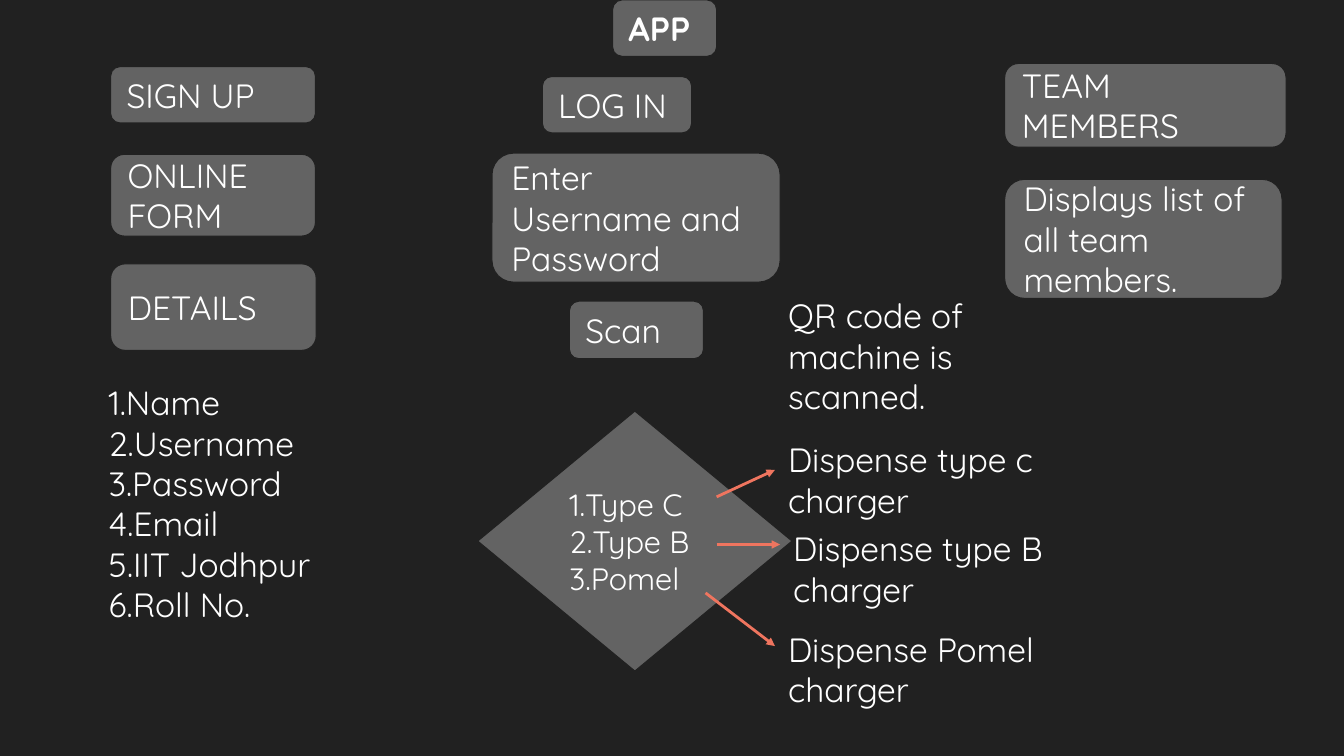
import pptx
import pptx.util
import pptx.dml.color
import pptx.enum.shapes
import pptx.enum.text
import pptx.oxml.ns
import lxml.etree

Cm = pptx.util.Cm
SHAPE = pptx.enum.shapes.MSO_SHAPE
ANCHOR = pptx.enum.text.MSO_ANCHOR
FONT = "Quicksand"
COLORS = {"back": "212121", "box": "636363", "text": "FFFFFF", "arrow": "EF755F"}

BOXES = [
    ("SIGN UP", 2.79, 1.68, 5.16, 1.42),
    ("LOG IN", 13.67, 1.93, 3.76, 1.42),
    ("TEAM MEMBERS", 25.32, 1.6, 7.09, 2.11),
    ("ONLINE FORM", 2.79, 3.89, 5.16, 2.06),
    ("DETAILS", 2.79, 6.65, 5.18, 2.18),
    ("Enter Username and Password", 12.4, 3.86, 7.26, 3.25),
    ("Scan", 14.35, 7.59, 3.38, 1.45),
    ("Displays list of all team members.", 25.32, 4.52, 6.99, 3),
]
DETAILS = ["1.Name", "2.Username", "3.Password", "4.Email", "5.IIT Jodhpur", "6.Roll No."]
CHARGERS = ["1.Type C", "2.Type B", "3.Pomel"]
NOTES = [
    ("QR code of machine is scanned.", 19.53, 7.11, 7.92, 3.38),
    ("Dispense type c charger", 19.53, 10.74, 8.36, 2.21),
    ("Dispense type B charger", 19.66, 12.98, 9.17, 2.54),
    ("Dispense Pomel charger", 19.53, 15.52, 7.92, 2.54),
]
ARROWS = [
    (18.06, 12.52, 19.53, 11.84),
    (18.06, 13.72, 19.66, 13.72),
    (17.78, 14.94, 19.53, 16.28),
]


def rgb(name):
    return pptx.dml.color.RGBColor.from_string(COLORS[name])


def write(sp, text, size=24, bold=False, anchor=ANCHOR.TOP):
    tf = sp.text_frame
    tf.word_wrap = True
    tf.vertical_anchor = anchor
    tf.margin_left = tf.margin_right = tf.margin_top = tf.margin_bottom = Cm(0.33)
    for i, line in enumerate(text.split("\n")):
        p = tf.add_paragraph() if i else tf.paragraphs[0]
        p.alignment = pptx.enum.text.PP_ALIGN.LEFT
        r = p.add_run()
        r.text = line
        r.font.name = FONT
        r.font.size = pptx.util.Pt(size)
        r.font.bold = bold
        r.font.color.rgb = rgb("text")


def add_box(s, text, x, y, w, h, kind=SHAPE.ROUNDED_RECTANGLE, **style):
    sp = s.shapes.add_shape(kind, Cm(x), Cm(y), Cm(w), Cm(h))
    sp.shadow.inherit = False
    sp.fill.solid()
    sp.fill.fore_color.rgb = rgb("box")
    sp.line.color.rgb = rgb("back")
    sp.line.width = pptx.util.Pt(0.75)
    write(sp, text, anchor=ANCHOR.MIDDLE, **style)


def add_note(s, text, x, y, w, h):
    write(s.shapes.add_textbox(Cm(x), Cm(y), Cm(w), Cm(h)), text)


def add_arrow(s, x1, y1, x2, y2):
    straight = pptx.enum.shapes.MSO_CONNECTOR.STRAIGHT
    cx = s.shapes.add_connector(straight, Cm(x1), Cm(y1), Cm(x2), Cm(y2))
    cx.line.color.rgb = rgb("arrow")
    cx.line.width = pptx.util.Pt(2)
    qn = pptx.oxml.ns.qn
    sp_pr = cx._element.spPr
    lxml.etree.SubElement(sp_pr.find(qn("a:ln")), qn("a:tailEnd"), type="triangle")
    lxml.etree.SubElement(sp_pr, qn("a:effectLst"))


def main():
    prs = pptx.Presentation()
    prs.slide_width, prs.slide_height = Cm(33.87), Cm(19.05)
    s = prs.slides.add_slide(prs.slide_layouts[6])
    s.background.fill.solid()
    s.background.fill.fore_color.rgb = rgb("back")

    add_box(s, "APP", 15.44, 0, 2.62, 1.42, bold=True)
    for box in BOXES:
        add_box(s, *box)
    add_note(s, "\n".join(DETAILS), 2.41, 9.3, 7.21, 6.55)
    add_box(s, "\n".join(CHARGERS), 12.04, 10.36, 7.92, 6.55, kind=SHAPE.DIAMOND, size=22)
    for note in NOTES:
        add_note(s, *note)
    for arrow in ARROWS:
        add_arrow(s, *arrow)
    prs.save("out.pptx")


if __name__ == "__main__":
    main()
